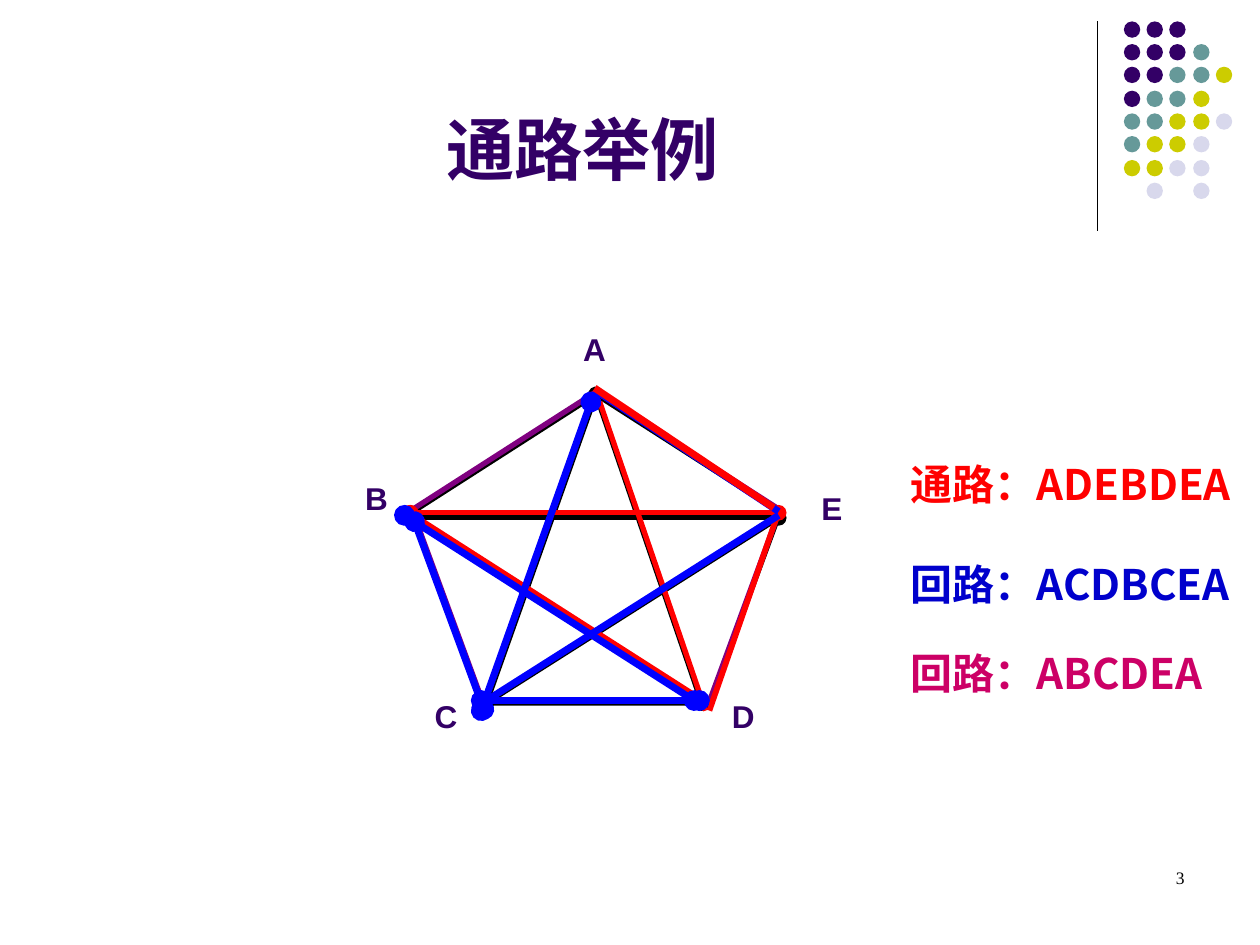
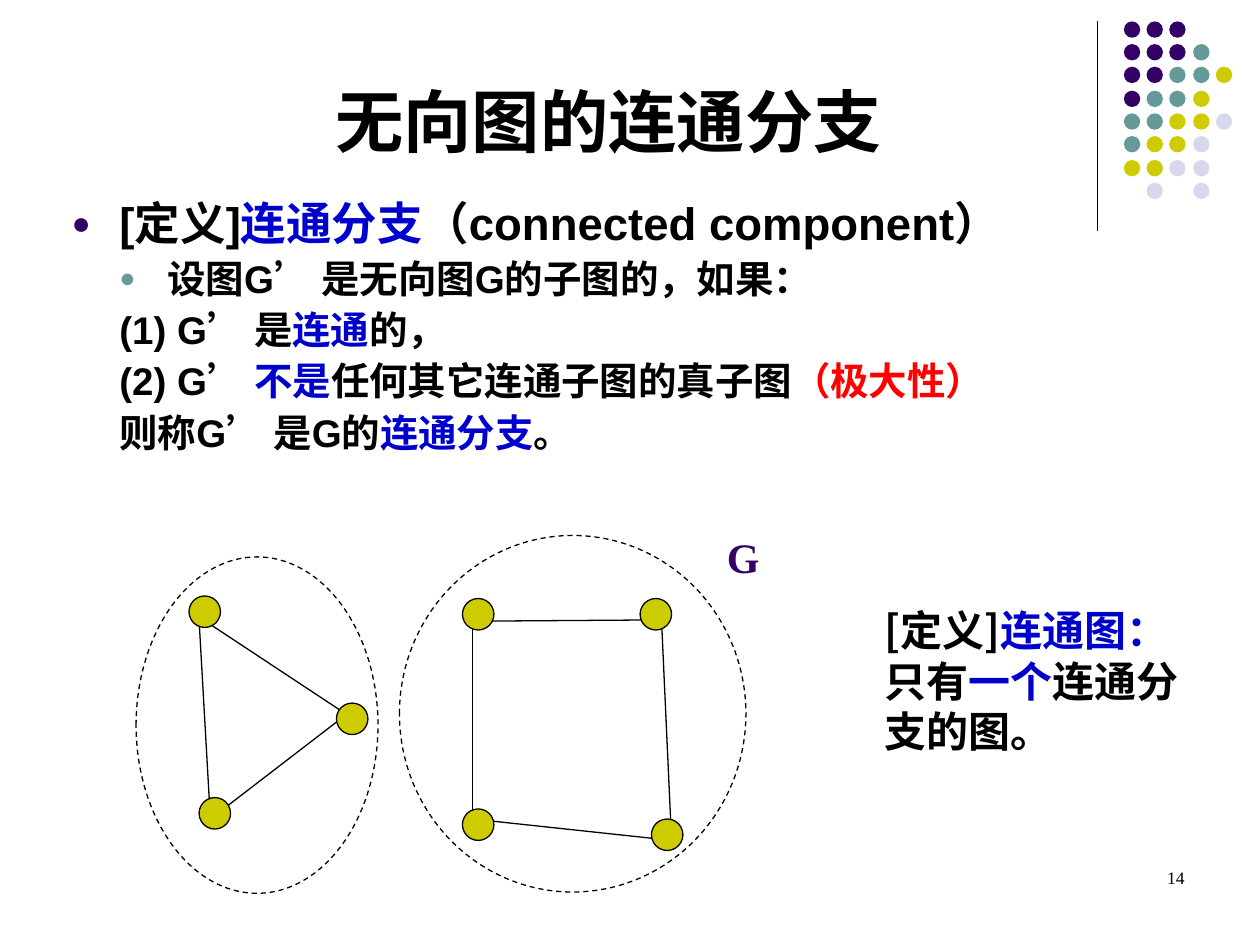
from dataclasses import dataclass
from lxml.etree import SubElement
from pptx import Presentation
from pptx.dml.color import RGBColor
from pptx.enum.dml import MSO_LINE
from pptx.enum.shapes import MSO_CONNECTOR as Connector, MSO_SHAPE as Preset
from pptx.enum.text import MSO_ANCHOR as Anchor, PP_ALIGN as Align
from pptx.oxml.ns import qn
from pptx.util import Emu, Pt

PX = 9144


@dataclass(frozen=True)
class Theme:
    """Colours, fonts and type sizes shared by the slides."""
    black: str = "000000"
    purple: str = "330066"
    teal: str = "669999"
    olive: str = "CCCC00"
    lilac: str = "D8D8EC"
    red: str = "FF0000"
    blue: str = "0000FF"
    navy: str = "0000CC"
    magenta: str = "CC0066"
    plum: str = "800080"
    sans: str = "Arial"
    cjk: str = "Noto Sans CJK SC"
    serif: str = "Times New Roman"
    title: int = 39
    lead: int = 26
    note: int = 24
    body: int = 22
    label: int = 18
    number: int = 10
    thin: float = 0.75


THEME = Theme()
DOT_ROWS = ("PPP", "PPPT", "PPTTY", "PTTY", "TTYYL", "TYYL", "YYLL", " L L")
DOT_COLORS = {"P": THEME.purple, "T": THEME.teal, "Y": THEME.olive, "L": THEME.lilac}


def px(length):
    """Turn px into EMU."""
    return Emu(int(length * PX))


def add_line(slide, start, end, color, width, ovals=False):
    """Draw a straight line, with round ends if asked."""
    line = slide.shapes.add_connector(Connector.STRAIGHT, *map(px, (*start, *end)))
    line.line.color.rgb = RGBColor.from_string(color)
    line.line.width = Pt(width)
    properties = line.line._get_or_add_ln()
    if ovals:
        for tag in ("a:headEnd", "a:tailEnd"):
            SubElement(properties, qn(tag), type="oval")
    SubElement(properties.getparent(), qn("a:effectLst"))


def add_preset(slide, preset, box, fill=None, outline=None, width=THEME.thin, dash=None):
    """Draw a preset shape with an optional fill and outline."""
    shape = slide.shapes.add_shape(preset, *map(px, box))
    shape.shadow.inherit = False
    if fill:
        shape.fill.solid()
        shape.fill.fore_color.rgb = RGBColor.from_string(fill)
    else:
        shape.fill.background()
    if outline:
        shape.line.color.rgb = RGBColor.from_string(outline)
        shape.line.width = Pt(width)
        shape.line.dash_style = dash
    else:
        shape.line.fill.background()


def add_runs(paragraph, runs, size, font, bold=True):
    """Add (text, colour) runs to a paragraph."""
    for text, color in runs:
        run = paragraph.add_run()
        run.text = text
        run.font.size = Pt(size)
        run.font.bold = bold
        run.font.name = font
        run.font.color.rgb = RGBColor.from_string(color)
        SubElement(run._r.get_or_add_rPr(), qn("a:ea"), typeface=THEME.cjk)


def add_frame(slide, box, anchor=Anchor.TOP):
    """Add a wrapping text box and return its text frame."""
    frame = slide.shapes.add_textbox(*map(px, box)).text_frame
    frame.word_wrap = True
    frame.vertical_anchor = anchor
    return frame


def add_text(slide, box, runs, size, font, align=Align.LEFT, anchor=Anchor.TOP, bold=True):
    """Add a text box with one paragraph."""
    paragraph = add_frame(slide, box, anchor).paragraphs[0]
    paragraph.alignment = align
    add_runs(paragraph, runs, size, font, bold)


def add_corner(slide, left, top):
    """Draw the vertical rule and the dot pattern beside it."""
    add_line(slide, (left, top), (left, top + 166), THEME.black, THEME.thin)
    for row, marks in enumerate(DOT_ROWS):
        for column, mark in enumerate(marks):
            if mark in DOT_COLORS:
                box = (left + 21 + column * 55 // 3, top + row * 55 // 3, 13, 13)
                add_preset(slide, Preset.OVAL, box, DOT_COLORS[mark])


def start_slide(presentation, title, title_box, title_color, number):
    """Add a blank slide with the corner pattern, title and slide number."""
    slide = presentation.slides.add_slide(presentation.slide_layouts[6])
    add_corner(slide, 871, 17)
    add_text(slide, title_box, [(title, title_color)], THEME.title, THEME.sans,
             Align.CENTER, Anchor.BOTTOM)
    add_text(slide, (717, 683, 233, 50), [(number, THEME.black)], THEME.number,
             THEME.serif, Align.RIGHT, bold=False)
    return slide


def add_star_graph(slide, left, top):
    """Draw the complete graph on five vertices with its coloured trails."""
    size = (292, 245)
    vertices = {"A": (146, 0), "B": (0, 98), "C": (59, 245), "D": (230, 245), "E": (291, 98)}
    labels = {"A": (126, -56, 38), "B": (-47, 62, 38), "C": (8, 235, 38),
              "D": (244, 235, 32), "E": (315, 70, 38)}
    diagonals = (("AC", True), ("AD", False), ("BE", True), ("BD", True), ("EC", False))
    trails = (
        ((149, 6), (233, 251), THEME.red, 3, False),
        ((291, 93), (236, 251), THEME.red, 3.25, False),
        ((-1, 94), (291, 94), THEME.red, 3, True),
        ((-2, 94), (228, 241), THEME.red, 3, True),
        ((2, 101), (57, 250), THEME.blue, 4, True),
        ((55, 243), (228, 243), THEME.blue, 4, True),
        ((-6, 96), (224, 243), THEME.blue, 4, True),
        ((291, 96), (59, 243), THEME.blue, 4, False),
        ((149, -1), (291, 93), THEME.blue, 4, False),
        ((142, 6), (55, 251), THEME.blue, 4, True),
        ((145, -5), (287, 90), THEME.red, 4, False),
    )

    def place(point):
        return left + point[0], top + point[1]

    for name, (x, y, width) in labels.items():
        add_text(slide, (*place((x, y)), width, 40), [(name, THEME.purple)],
                 THEME.label, THEME.sans)
    add_preset(slide, Preset.REGULAR_PENTAGON, (left, top, *size), outline=THEME.black, width=3)
    for (start, end), ovals in diagonals:
        add_line(slide, place(vertices[start]), place(vertices[end]), THEME.black, 3, ovals)
    add_preset(slide, Preset.REGULAR_PENTAGON, (left, top - 2, *size), outline=THEME.plum, width=3)
    for start, end, color, width, ovals in trails:
        add_line(slide, place(start), place(end), color, width, ovals)


def add_trail_key(slide, left, top):
    """List the trails drawn on the graph."""
    entries = ((0, "通路：ADEBDEA", THEME.red), (79, "回路：ACDBCEA", THEME.navy),
               (150, "回路：ABCDEA", THEME.magenta))
    for offset, text, color in entries:
        add_text(slide, (left, top + offset, 287, 50), [(text, color)], THEME.note, THEME.cjk)


def add_bullet(properties, color):
    """Give a paragraph a small round bullet."""
    SubElement(SubElement(properties, qn("a:buClr")), qn("a:srgbClr"), val=color)
    SubElement(properties, qn("a:buSzPct"), val="70000")
    SubElement(properties, qn("a:buFont"), typeface=THEME.sans)
    SubElement(properties, qn("a:buChar"), char="●")


def add_definition(slide, box):
    """Write the definition of a connected component."""
    black, navy = THEME.black, THEME.navy
    lines = (
        (THEME.purple, [("[定义]", black), ("连通分支", navy), ("（connected component）", black)]),
        (THEME.teal, [("设图G’ 是无向图G的子图的，如果：", black)]),
        (None, [("(1) G’ 是", black), ("连通", navy), ("的，", black)]),
        (None, [("(2) G’ ", black), ("不是", navy), ("任何其它连通子图的真子图", black),
                ("（极大性）", THEME.red)]),
        (None, [("则称G’ 是G的", black), ("连通分支", navy), ("。", black)]),
    )
    frame = add_frame(slide, box)
    for index, (bullet, runs) in enumerate(lines):
        paragraph = frame.add_paragraph() if index else frame.paragraphs[0]
        properties = paragraph._p.get_or_add_pPr()
        properties.set("marL", str(px(76 if index else 38)))
        properties.set("indent", str(px(-38)))
        if bullet:
            add_bullet(properties, bullet)
        paragraph.line_spacing = 0.9
        paragraph.space_before = Pt(5.5 if index else 0)
        add_runs(paragraph, runs, THEME.body if index else THEME.lead, THEME.sans)


def add_component(slide, box, edges, nodes):
    """Draw one connected component inside a dashed ellipse."""
    left, top = box[:2]
    for x1, y1, x2, y2 in edges:
        add_line(slide, (left + x1, top + y1), (left + x2, top + y2), THEME.black, THEME.thin)
    add_preset(slide, Preset.OVAL, box, outline=THEME.black, dash=MSO_LINE.DASH)
    for x, y in nodes:
        add_preset(slide, Preset.OVAL, (left + x, top + y, 25, 25), THEME.olive, THEME.black)


def build_trail_slide(presentation):
    """Build the slide with examples of trails."""
    slide = start_slide(presentation, "通路举例", (50, 13, 825, 142), THEME.purple, "3")
    add_star_graph(slide, 327, 313)
    add_trail_key(slide, 713, 359)


def build_component_slide(presentation):
    """Build the slide on connected components."""
    slide = start_slide(presentation, "无向图的连通分支", (58, 0, 850, 133), THEME.black, "14")
    add_definition(slide, (47, 155, 850, 224))
    add_component(slide, (317, 425, 275, 283),
                  ((61, 68, 208, 67), (208, 67, 216, 242), (216, 242, 58, 225), (58, 225, 58, 67)),
                  ((50, 50), (191, 50), (200, 225), (50, 217)))
    add_component(slide, (108, 442, 192, 267),
                  ((49, 47, 167, 125), (167, 125, 59, 208), (59, 208, 50, 50)),
                  ((42, 31), (50, 191), (159, 116)))
    add_text(slide, (567, 417, 42, 50), [("G", THEME.purple)], THEME.note, THEME.serif, Align.CENTER)
    add_text(slide, (692, 475, 275, 130),
             [("[定义]", THEME.black), ("连通图：", THEME.navy), ("只有", THEME.black),
              ("一个", THEME.navy), ("连通分支的图。", THEME.black)], THEME.note, THEME.cjk)


def main():
    """Build and save the presentation."""
    presentation = Presentation()
    presentation.slide_width, presentation.slide_height = px(1000), px(750)
    build_trail_slide(presentation)
    build_component_slide(presentation)
    presentation.save("out.pptx")


if __name__ == "__main__":
    main()
